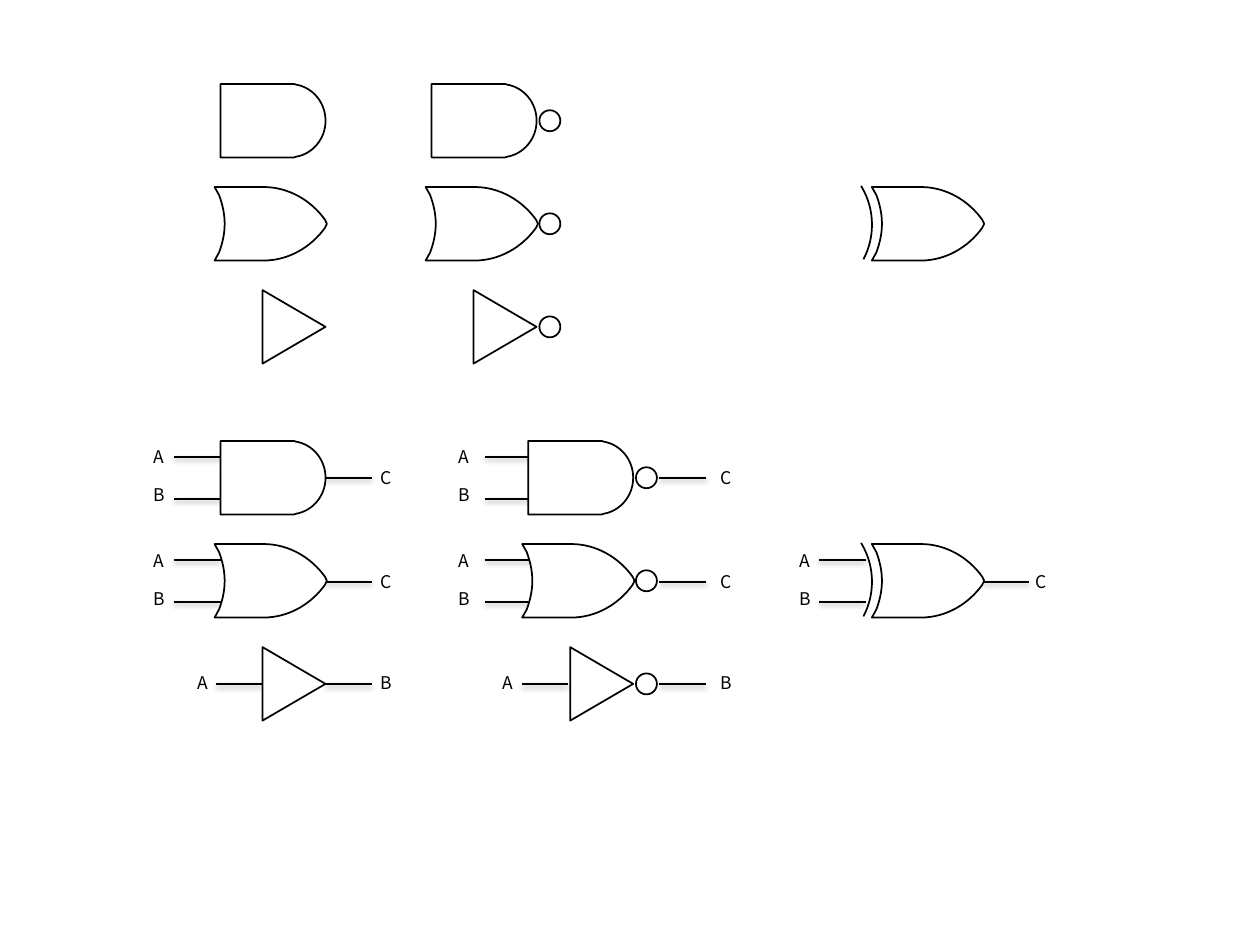
"""Draw a chart of logic gates, bare above and wired below."""
from typing import NamedTuple, Optional

from pptx import Presentation
from pptx.dml.color import RGBColor
from pptx.enum.shapes import MSO_CONNECTOR, MSO_SHAPE
from pptx.enum.text import MSO_AUTO_SIZE
from pptx.oxml import parse_xml
from pptx.oxml.ns import nsdecls, qn
from pptx.oxml.xmlchemy import OxmlElement
from pptx.util import Pt

FONT = "Noto Sans CJK JP"
BLACK, WHITE = "000000", "FFFFFF"
HEIGHT, MID, PITCH = 42, 21, 58.9
BARE, WIRED = 48, 252
LEAD, BALL = 26.6, 12
SHADOW = (
    f'<a:effectLst {nsdecls("a")}><a:outerShdw blurRad="40000" dist="20000" '
    'dir="5400000" rotWithShape="0"><a:srgbClr val="000000">'
    '<a:alpha val="38000"/></a:srgbClr></a:outerShdw></a:effectLst>'
)


class Pin(NamedTuple):
    text: str
    wire: float
    label: float


class Form(NamedTuple):
    row: int
    back: float
    steps: tuple
    ins: tuple
    out: Pin


class Leads(NamedTuple):
    end: float
    left: float
    right: float


class Gate(NamedTuple):
    form: Form
    tip: float
    top: float
    ball: bool = False
    arc: bool = False
    leads: Optional[Leads] = None


AND = Form(
    0, 60,
    (((0, 0),), ((39, 0),), ((42, 0),), ((43.2, 0.4),),
     ((52.6, 2), (60, 10.5), (60, 21)),
     ((60, 31.5), (52.6, 40), (43.2, 41.6)),
     ((42, 42),), ((39, 42),), ((0, 42),)),
    (Pin("A", 9, -0.7), Pin("B", 33, 21)), Pin("C", 21, 11.5),
)
OR = Form(
    1, 63.4,
    (((0, 0),), ((28, 0),),
     ((42.4, 0), (55.2, 7.7), (63.1, 18.7)),
     ((64.2, 21),), ((63.1, 23.3),),
     ((55.2, 34.3), (42.4, 42), (28, 42)),
     ((0, 42),), ((2.6, 37.4),),
     ((4.5, 32.3), (5.8, 26.8), (5.8, 21)),
     ((5.8, 15.2), (4.5, 9.7), (2.6, 4.6))),
    (Pin("A", 9, 0), Pin("B", 33, 21.7)), Pin("C", 21.6, 11.7),
)
NOT = Form(2, 36, (), (Pin("A", 21, 10.4),), Pin("B", 21, 10.4))

GATES = [
    *(Gate(form, 186, BARE) for form in (AND, OR, NOT)),
    *(Gate(form, 306.6, BARE, ball=True) for form in (AND, OR, NOT)),
    Gate(OR, 561.6, BARE, arc=True),
    Gate(AND, 186, WIRED, leads=Leads(-60, -105.4, 24.2)),
    Gate(OR, 186, WIRED, leads=Leads(-60, -105.4, 24.2)),
    Gate(NOT, 186, WIRED, leads=Leads(-36, -80.2, 24.2)),
    Gate(AND, 361.8, WIRED, ball=True, leads=Leads(-58, -106.9, 42.9)),
    Gate(OR, 361.8, WIRED, ball=True, leads=Leads(-58, -106.9, 42.9)),
    Gate(NOT, 361.8, WIRED, ball=True, leads=Leads(-37, -81.7, 42.9)),
    Gate(OR, 561.6, WIRED, arc=True, leads=Leads(-67, -111.6, 23)),
]


def tint(code: str) -> RGBColor:
    return RGBColor.from_string(code)


def ink(shape) -> None:
    shape.line.color.rgb = tint(BLACK)
    shape.line.width = Pt(1)


def paint(shape) -> None:
    shape.shadow.inherit = False
    shape.fill.solid()
    shape.fill.fore_color.rgb = tint(WHITE)
    ink(shape)


def write(slide, text: str, *, left: float, top: float, size: float = 10,
          font: str = FONT, color: str = BLACK) -> None:
    box = slide.shapes.add_textbox(Pt(left), Pt(top), Pt(21.6), Pt(19.4))
    frame = box.text_frame
    frame.word_wrap = False
    frame.auto_size = MSO_AUTO_SIZE.SHAPE_TO_FIT_TEXT
    run = frame.paragraphs[0].add_run()
    run.text = text
    run.font.size = Pt(size)
    run.font.name = font
    run.font.color.rgb = tint(color)
    face = OxmlElement("a:ea")
    face.set("typeface", font)
    run.font._element.append(face)


def wire(slide, start: float, end: float, y: float) -> None:
    line = slide.shapes.add_connector(
        MSO_CONNECTOR.STRAIGHT, Pt(start), Pt(y), Pt(end), Pt(y))
    ink(line)
    line._element.spPr.append(parse_xml(SHADOW))


def bend(shape, steps: tuple) -> None:
    nodes = iter(shape._element.findall(".//" + qn("a:lnTo")))
    for step in steps:
        group = [next(nodes) for _ in step]
        if len(group) == 3:
            curve = OxmlElement("a:cubicBezTo")
            group[0].addprevious(curve)
            for node in group:
                curve.append(node[0])
                node.getparent().remove(node)


def outline(slide, steps: tuple, left: float, top: float) -> None:
    spots = [(Pt(left + x), Pt(top + y)) for step in steps for x, y in step]
    pen = slide.shapes.build_freeform(*spots[0])
    pen.add_line_segments(spots[1:], close=False)
    pen.add_line_segments([], close=True)
    shape = pen.convert_to_shape()
    bend(shape, steps[1:])
    paint(shape)


def preset(slide, kind, left: float, top: float, width: float, height: float):
    shape = slide.shapes.add_shape(
        kind, Pt(left), Pt(top), Pt(width), Pt(height))
    paint(shape)
    return shape


def draw(slide, gate: Gate) -> None:
    form, tip, leads = gate.form, gate.tip, gate.leads
    top = gate.top + form.row * PITCH
    if leads:
        for pin in form.ins:
            end = tip + leads.end
            wire(slide, end - LEAD, end, top + pin.wire)
            write(slide, pin.text, left=tip + leads.left, top=top + pin.label)
        out = form.out
        start = tip + (15 if gate.ball else 0)
        wire(slide, start, start + LEAD, top + out.wire)
        write(slide, out.text, left=tip + leads.right, top=top + out.label)
    if form.steps:
        outline(slide, form.steps, tip - form.back, top)
    else:
        left = tip - (form.back + HEIGHT) / 2
        body = preset(slide, MSO_SHAPE.ISOSCELES_TRIANGLE, left,
                      top + (HEIGHT - form.back) / 2, HEIGHT, form.back)
        body.rotation = 90
    if gate.ball:
        preset(slide, MSO_SHAPE.OVAL, tip + 1.6, top + MID - BALL / 2,
               BALL, BALL)
    if gate.arc:
        curve = preset(slide, MSO_SHAPE.ARC, tip - 148.3, top - 21, 85, 85)
        curve.fill.background()
        curve.adjustments[0] = 197.17
        curve.adjustments[1] = 16.663


def main() -> None:
    deck = Presentation()
    deck.slide_width, deck.slide_height = Pt(720), Pt(540)
    slide = deck.slides.add_slide(deck.slide_layouts[6])
    for gate in GATES:
        draw(slide, gate)
    deck.save("out.pptx")


if __name__ == "__main__":
    main()
